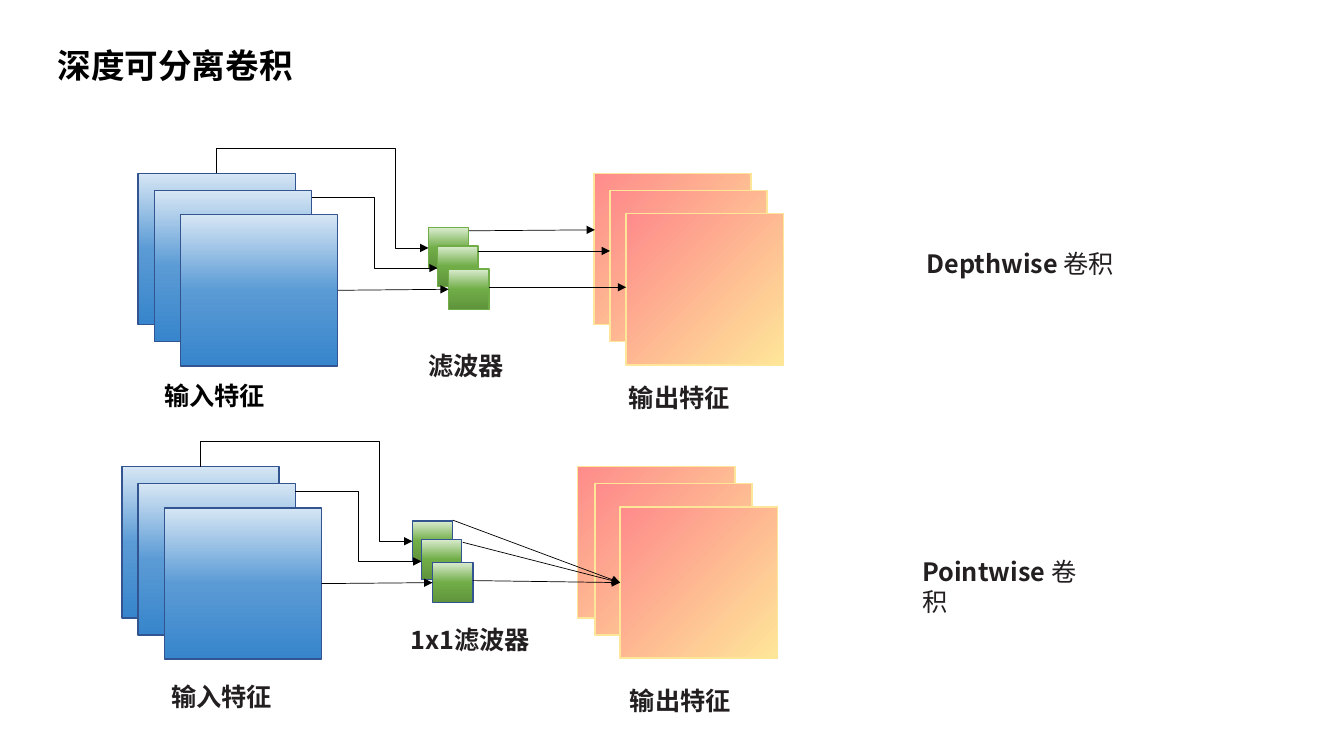
"""Build the depthwise separable convolution slide."""
from dataclasses import dataclass

from pptx import Presentation
from pptx import util as u
from pptx.dml.color import RGBColor
from pptx.enum import shapes, text
from pptx.oxml import parse_xml
from pptx.oxml.ns import nsdecls, qn

EMU_PER_PX = 9144
SANS, SERIF = "Noto Sans CJK SC", "Times New Roman"
COLOURS = {
    "black": "000000", "ink": "231F20", "navy": "325491", "green": "70AD47",
    "yellow": "FEE699",
}
DOWNWARD = '<a:lin ang="5400000" scaled="0"/>'
FROM_CORNER = '<a:path path="circle"><a:fillToRect l="100000" t="100000"/></a:path>'

Point = tuple[int, int]
Link = tuple[Point, Point]


@dataclass(frozen=True)
class Gradient:
    stops: tuple[tuple[int, str], ...]
    direction: str


@dataclass(frozen=True)
class Panel:
    left: int
    top: int
    outputs: tuple[Point, ...]
    filter_outline: str
    output_links: tuple[Link, ...]


@dataclass(frozen=True)
class Label:
    left: int
    top: int
    width: int
    bold: str
    regular: str = ""
    font: str = SERIF
    colour: str = "ink"


BLUE = Gradient(((0, "D6E6F4"), (50, "5B9BD5"), (100, "3785CC")), DOWNWARD)
GREEN = Gradient(((0, "DBECD0"), (50, "70AD47"), (100, "5F933C")), DOWNWARD)
CORAL = Gradient(((0, "FEE699"), (100, "FE8B8B")), FROM_CORNER)

FEATURE_SIZE = (156, 150)
FILTER_SIZE = (40, 40)
INPUTS = ((137, 172), (153, 189), (179, 213))
FILTERS = ((425, 226), (434, 244), (445, 267))
BACK_INPUT_LINK = ((357, 104), (283, 314))
MIDDLE_INPUT_LINK = ((309, 196), (434, 266))
FRONT_INPUT_LINK = ((335, 288), (445, 287))

PANELS = (
    Panel(0, 0, ((589, 172), (605, 189), (621, 212)), "green",
          (((465, 229), (590, 228)), ((474, 249), (605, 249)),
           ((485, 285), (621, 285)))),
    Panel(-16, 291, ((589, 172), (606, 189), (631, 212)), "navy",
          (((485, 285), (631, 287)), ((475, 247), (631, 287)),
           ((465, 225), (631, 287)))),
)
LABELS = (
    Label(909, 241, 273, "Depthwise ", "卷积", SANS),
    Label(905, 547, 197, "Pointwise ", "卷积", SANS),
    Label(160, 671, 194, "输入特征"),
    Label(153, 372, 194, "输入特征", colour="black"),
    Label(615, 675, 194, "输出特征"),
    Label(614, 374, 194, "输出特征"),
    Label(415, 343, 99, "滤波器"),
    Label(397, 614, 164, "1x1滤波器", font=SANS),
)


def px(length: int) -> u.Emu:
    """Turn px into EMU."""
    return u.Emu(length * EMU_PER_PX)


def rgb(name: str) -> RGBColor:
    """Look up a colour by name."""
    return RGBColor.from_string(COLOURS[name])


def format_paragraph(paragraph, size: int, font: str, colour: str) -> None:
    """Set the font of a paragraph for Latin and Chinese text."""
    paragraph.alignment = text.PP_ALIGN.LEFT
    paragraph.font.size = u.Pt(size)
    paragraph.font.color.rgb = rgb(colour)
    paragraph.font.name = font
    defaults = paragraph._p.pPr.find(qn("a:defRPr"))
    defaults.append(parse_xml(f'<a:ea {nsdecls("a")} typeface="{SANS}"/>'))


def add_title(slide) -> None:
    """Fill and place the title placeholder."""
    title = slide.shapes.title
    title.left, title.top, title.width, title.height = map(px, (57, 45, 236, 40))
    frame = title.text_frame
    frame.text = "深度可分离卷积"
    frame.margin_left = frame.margin_right = frame.margin_top = frame.margin_bottom = 0
    frame.vertical_anchor = text.MSO_ANCHOR.TOP
    frame.word_wrap = False
    frame.auto_size = text.MSO_AUTO_SIZE.SHAPE_TO_FIT_TEXT
    format_paragraph(frame.paragraphs[0], 24, SANS, "black")
    frame.paragraphs[0].font.bold = True


def add_label(slide, label: Label) -> None:
    """Add a text box with a bold part and an optional regular part."""
    box = slide.shapes.add_textbox(*map(px, (label.left, label.top, label.width, 40)))
    frame = box.text_frame
    frame.word_wrap = True
    frame.auto_size = text.MSO_AUTO_SIZE.SHAPE_TO_FIT_TEXT
    paragraph = frame.paragraphs[0]
    for wording, bold in ((label.bold, True), (label.regular, False)):
        if wording:
            run = paragraph.add_run()
            run.text = wording
            run.font.bold = bold
    format_paragraph(paragraph, 18, label.font, label.colour)


def add_stack(slide, panel: Panel, corners: tuple[Point, ...], size: Point,
              gradient: Gradient, outline: str) -> None:
    """Add overlapping gradient squares from back to front."""
    stops = "".join(
        f'<a:gs pos="{position * 1000}"><a:srgbClr val="{colour}"/></a:gs>'
        for position, colour in gradient.stops)
    for x, y in corners:
        bounds = (x + panel.left, y + panel.top, *size)
        square = slide.shapes.add_shape(
            shapes.MSO_SHAPE.RECTANGLE, *map(px, bounds))
        square.shadow.inherit = False
        square.line.color.rgb = rgb(outline)
        square.line.width = u.Pt(1)
        square.fill.gradient()
        properties = square._element.spPr
        properties.replace(properties.find(qn("a:gradFill")), parse_xml(
            f'<a:gradFill {nsdecls("a")} rotWithShape="1"><a:gsLst>{stops}</a:gsLst>'
            f'{gradient.direction}</a:gradFill>'))


def add_arrow(slide, panel: Panel, link: Link,
              kind=shapes.MSO_CONNECTOR.STRAIGHT):
    """Add a thin black arrow and return it."""
    ends = [px(value) for x, y in link for value in (x + panel.left, y + panel.top)]
    arrow = slide.shapes.add_connector(kind, *ends)
    arrow.line.color.rgb = rgb("black")
    arrow.line.width = u.Pt(0.5)
    arrow.line._get_or_add_ln().append(
        parse_xml(f'<a:tailEnd {nsdecls("a")} type="triangle"/>'))
    arrow._element.spPr.append(parse_xml(f'<a:effectLst {nsdecls("a")}/>'))
    return arrow


def add_over_arrow(slide, panel: Panel) -> None:
    """Add the arrow that leaves the back input upwards and bends three times."""
    arrow = add_arrow(slide, panel, BACK_INPUT_LINK, shapes.MSO_CONNECTOR.ELBOW)
    properties = arrow._element.spPr
    properties.find(qn("a:xfrm")).set("rot", "16200000")
    properties.replace(properties.find(qn("a:prstGeom")), parse_xml(
        f'<a:prstGeom {nsdecls("a")} prst="bentConnector4"><a:avLst>'
        '<a:gd name="adj1" fmla="val -33900"/><a:gd name="adj2" fmla="val 84600"/>'
        '</a:avLst></a:prstGeom>'))


def add_panel(slide, panel: Panel) -> None:
    """Add the feature stacks, filters and arrows of one convolution."""
    add_stack(slide, panel, INPUTS, FEATURE_SIZE, BLUE, "navy")
    add_stack(slide, panel, panel.outputs, FEATURE_SIZE, CORAL, "yellow")
    add_stack(slide, panel, FILTERS, FILTER_SIZE, GREEN, panel.filter_outline)
    add_over_arrow(slide, panel)
    add_arrow(slide, panel, MIDDLE_INPUT_LINK, shapes.MSO_CONNECTOR.ELBOW)
    for link in (FRONT_INPUT_LINK, *panel.output_links):
        add_arrow(slide, panel, link)


def main() -> None:
    """Build and save the presentation."""
    presentation = Presentation()
    presentation.slide_width, presentation.slide_height = px(1333), px(750)
    slide = presentation.slides.add_slide(presentation.slide_layouts[5])
    add_title(slide)
    for panel in PANELS:
        add_panel(slide, panel)
    for label in LABELS:
        add_label(slide, label)
    presentation.save("out.pptx")


if __name__ == "__main__":
    main()
